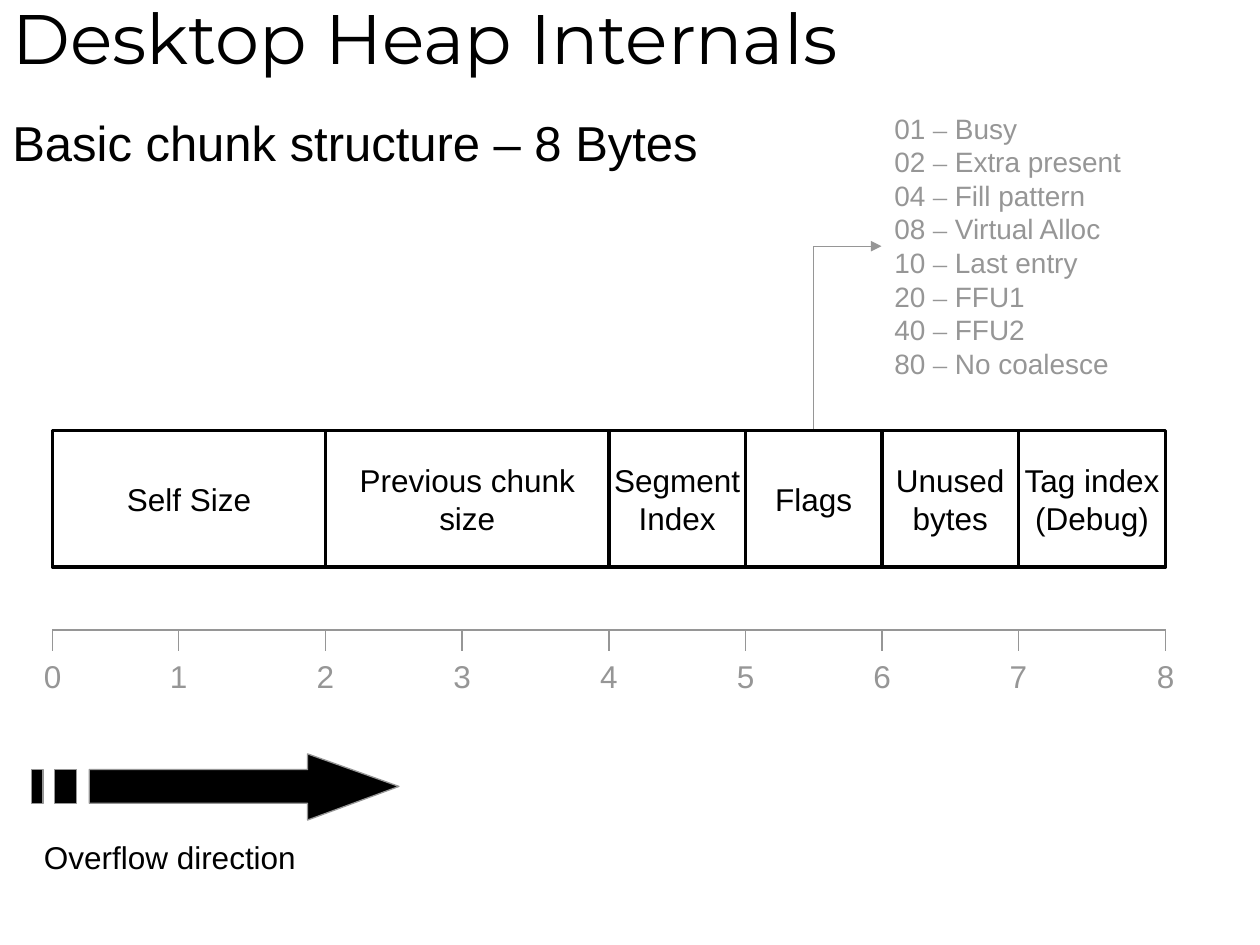
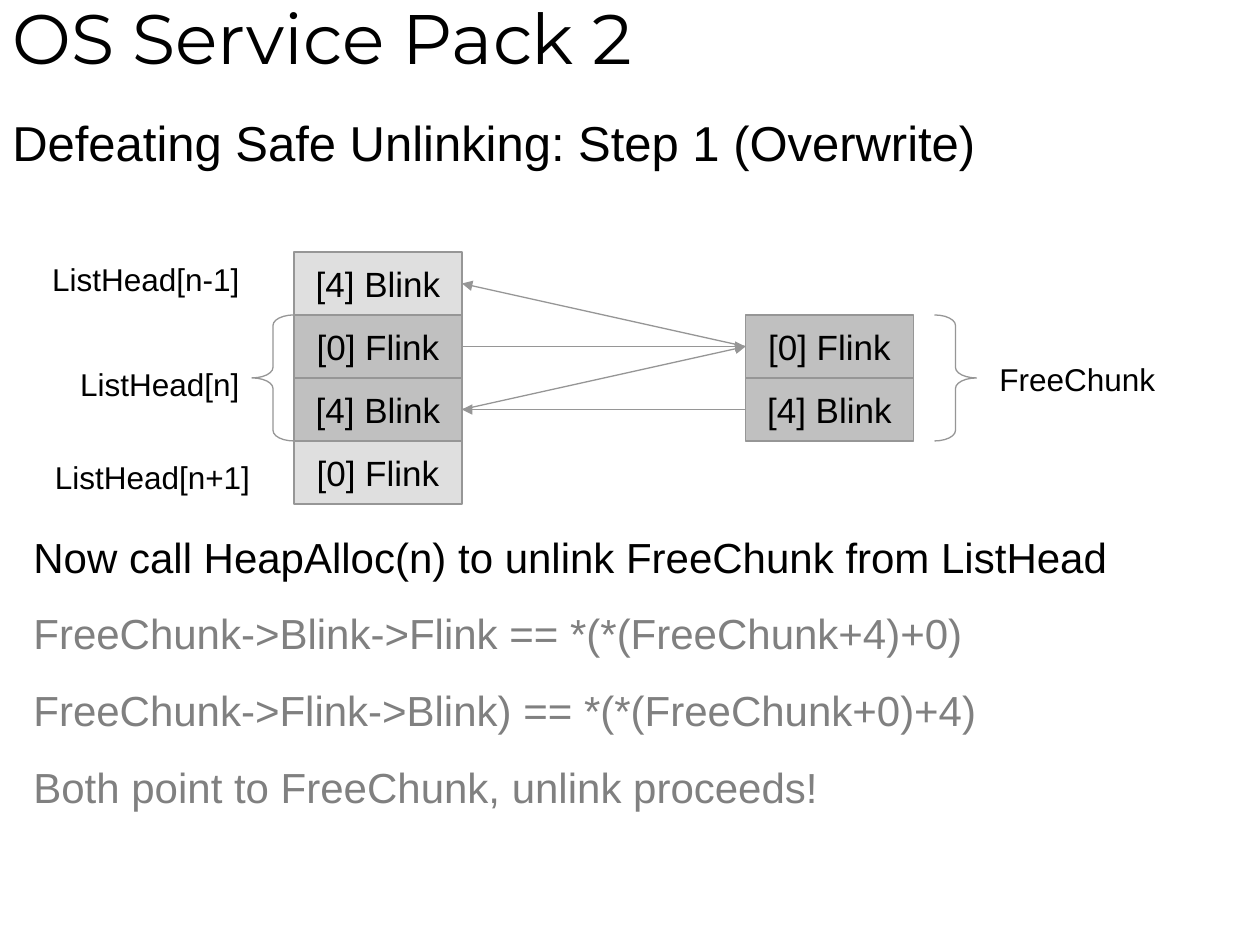
from lxml.etree import SubElement
from pptx import Presentation
from pptx.dml.color import RGBColor
from pptx.enum.shapes import MSO_CONNECTOR, MSO_SHAPE
from pptx.enum.text import MSO_ANCHOR, MSO_AUTO_SIZE, PP_ALIGN
from pptx.oxml.ns import qn
from pptx.util import Pt

SCALE = 7620  # EMU in one px, 120 px to the inch
BLACK = RGBColor(0, 0, 0)
WHITE = RGBColor(255, 255, 255)
GREY = RGBColor(0x96, 0x96, 0x96)
SILVER = RGBColor(0xC0, 0xC0, 0xC0)
DIM = RGBColor(0x80, 0x80, 0x80)
BODY, HEAD, SERIF = "Arial", "Montserrat", "Times New Roman"
LEFT, MID, RIGHT = PP_ALIGN.LEFT, PP_ALIGN.CENTER, PP_ALIGN.RIGHT

TICKS = [50, 170, 310, 440, 580, 710, 840, 970, 1110]
FIELDS = [
    (0, 2, "Self Size"), (2, 4, "Previous chunk\nsize"),
    (4, 5, "Segment\nIndex"), (5, 6, "Flags"),
    (6, 7, "Unused\nbytes"), (7, 8, "Tag index\n(Debug)"),
]
FLAGS = """01 – Busy
02 – Extra present
04 – Fill pattern
08 – Virtual Alloc
10 – Last entry
20 – FFU1
40 – FFU2
80 – No coalesce"""
STEPS = """Now call HeapAlloc(n) to unlink FreeChunk from ListHead
FreeChunk->Blink->Flink == *(*(FreeChunk+4)+0)
FreeChunk->Flink->Blink) == *(*(FreeChunk+0)+4)
Both point to FreeChunk, unlink proceeds!"""


def emu(*px):
    return [n * SCALE for n in px]


def write(frame, text, size=18, color=BLACK, font=BODY, dash=None,
          align=LEFT, anchor=MSO_ANCHOR.TOP, wrap=True, before=0, lead=1.2):
    """Fill a frame, one paragraph a line; dash is the font for en dashes."""
    frame.auto_size = MSO_AUTO_SIZE.NONE
    frame.word_wrap = wrap
    frame.vertical_anchor = anchor
    for i, line in enumerate(text.split("\n")):
        para = frame.add_paragraph() if i else frame.paragraphs[0]
        para.alignment = align
        if lead:
            para.line_spacing = Pt(size * lead)
        if i and before:
            para.space_before = Pt(before)
        for part in line.partition("–") if dash else [line]:
            run = para.add_run()
            run.text = part
            run.font.size = Pt(size)
            run.font.name = dash if part == "–" else font
            run.font.color.rgb = color


def label(slide, text, x, y, w, h=48, **style):
    frame = slide.shapes.add_textbox(*emu(x, y, w, h)).text_frame
    write(frame, text, **style)
    return frame


def paint(shape, fill, color=GREY, width=0.75):
    shape.shadow.inherit = False
    if fill is None:
        shape.fill.background()
    else:
        shape.fill.solid()
        shape.fill.fore_color.rgb = fill
    shape.line.color.rgb = color
    shape.line.width = Pt(width)


def box(slide, text, x, y, w, h, fill, color=GREY, width=0.75, size=18):
    shape = slide.shapes.add_shape(MSO_SHAPE.RECTANGLE, *emu(x, y, w, h))
    paint(shape, fill, color, width)
    write(shape.text_frame, text, size=size, align=MID,
          anchor=MSO_ANCHOR.MIDDLE, wrap=False)
    return shape


def fade(shape):
    """Make the fill half transparent."""
    tint = shape.fill._xPr.find(qn("a:solidFill"))[0]
    SubElement(tint, qn("a:alpha"), val="50000")


def line(slide, *ends, kind=MSO_CONNECTOR.STRAIGHT, arrow=False):
    link = slide.shapes.add_connector(kind, *emu(*ends))
    link.line.color.rgb = GREY
    link.line.width = Pt(0.75)
    if arrow:
        SubElement(link.line._get_or_add_ln(), qn("a:tailEnd"), type="triangle")
    SubElement(link._element.spPr, qn("a:effectLst"))
    return link


def join(slide, start, out, end, into):
    link = line(slide, 0, 0, 0, 0, arrow=True)
    link.begin_connect(start, out)
    link.end_connect(end, into)


def elbow(slide, *ends):
    """Draw a one-bend arrow that is turned a quarter to the right."""
    link = line(slide, *ends, kind=MSO_CONNECTOR.ELBOW, arrow=True)
    props = link._element.spPr
    props.find(qn("a:xfrm")).set("rot", "5400000")
    props.find(qn("a:prstGeom")).set("prst", "bentConnector2")


def brace(slide, kind, x, y, w, h):
    shape = slide.shapes.add_shape(kind, *emu(x, y, w, h))
    shape.adjustments[0] = 0.25
    paint(shape, None)


def arrow(slide):
    """Draw the block arrow with two stripes at its tail."""
    top, low = 733, 765
    pen = slide.shapes.build_freeform(293, 718, SCALE)
    pen.add_line_segments([(293, top), (85, top), (85, low), (293, low),
                           (293, 781), (380, 749)])
    for x, end in [(52, 73), (30, 41)]:
        pen.move_to(x, top)
        pen.add_line_segments([(x, low), (end, low), (end, top)])
    paint(pen.convert_to_shape(), BLACK)


def page(deck, title, lead):
    slide = deck.slides.add_slide(deck.slide_layouts[5])
    head = slide.shapes.title
    head.left, head.top, head.width, head.height = emu(0, -10, 1200, 90)
    write(head.text_frame, title, size=40, font=HEAD,
          anchor=MSO_ANCHOR.MIDDLE, lead=None)
    label(slide, lead, 0, 101, 1200, 60, size=28)
    return slide


def chunk(deck):
    slide = page(deck, "Desktop Heap Internals", "Basic chunk structure – 8 Bytes")
    for start, end, name in FIELDS:
        x = TICKS[start]
        box(slide, name, x, 410, TICKS[end] - x, 130, WHITE, BLACK, 2)
    line(slide, TICKS[0], 600, TICKS[-1], 600)
    for i, x in enumerate(TICKS):
        line(slide, x, 600, x, 620)
        label(slide, str(i), x - 20, 620, 40, color=GREY, align=MID, wrap=False)
    arrow(slide)
    label(slide, "Overflow direction", 30, 792, 264, wrap=False)
    label(slide, FLAGS, 840, 100, 268, 269, size=16, color=GREY, dash=SERIF)
    elbow(slide, 894, 354, 720, 289)


def unlink(deck):
    slide = page(deck, "OS Service Pack 2",
                 "Defeating Safe Unlinking: Step 1 (Overwrite)")
    names = ["[4] Blink", "[0] Flink"] * 2
    heads = [box(slide, name, 280, 240 + 60 * i, 160, 60, SILVER, size=20)
             for i, name in enumerate(names)]
    for edge in (heads[0], heads[-1]):
        fade(edge)
    flink, blink = [box(slide, name, 710, 300 + 60 * i, 160, 60, SILVER, size=20)
                    for i, name in enumerate(names[1:3])]
    brace(slide, MSO_SHAPE.LEFT_BRACE, 240, 300, 40, 120)
    brace(slide, MSO_SHAPE.RIGHT_BRACE, 890, 300, 40, 120)
    for name, x, y, w in [("ListHead[n-1]", 20, 242, 220),
                          ("ListHead[n]", 50, 342, 190),
                          ("ListHead[n+1]", 30, 430, 220)]:
        label(slide, name, x, y, w, align=RIGHT)
    label(slide, "FreeChunk", 940, 337, 190)
    join(slide, heads[1], 3, flink, 1)
    join(slide, heads[2], 3, flink, 1)
    join(slide, blink, 1, heads[2], 3)
    join(slide, flink, 1, heads[0], 3)
    steps = label(slide, STEPS, 20, 500, 1160, 353, size=24, color=DIM, before=15)
    steps.paragraphs[0].runs[0].font.color.rgb = BLACK


def main():
    deck = Presentation()
    deck.slide_width, deck.slide_height = emu(1200, 900)
    chunk(deck)
    unlink(deck)
    deck.save("out.pptx")


if __name__ == "__main__":
    main()
